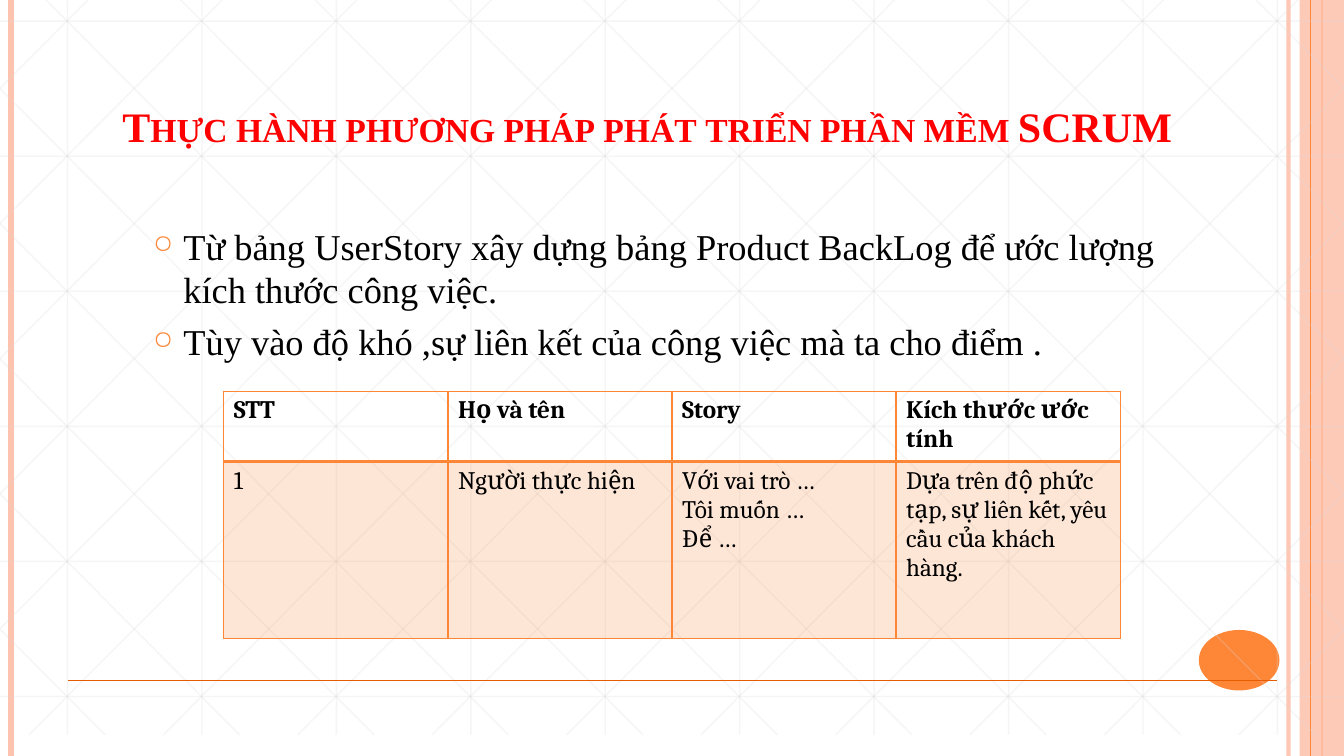
from pptx import Presentation
from pptx.dml.color import RGBColor
from pptx.enum.shapes import MSO_CONNECTOR as CONN, MSO_SHAPE as SHAPE
from pptx.enum.text import MSO_ANCHOR as ANCHOR, MSO_AUTO_SIZE as AUTO, PP_ALIGN as ALIGN
from pptx.oxml.ns import qn
from pptx.oxml.xmlchemy import OxmlElement
from pptx.util import Inches, Pt

ORANGE = RGBColor(0xFE, 0x86, 0x37)
DARK_ORANGE = RGBColor(0xE7, 0x5C, 0x01)
PEACH = RGBColor(0xFE, 0xC3, 0xAE)
GRAY = RGBColor(0xD9, 0xD9, 0xD9)
RED = RGBColor(0xFF, 0, 0)
BLACK = RGBColor(0, 0, 0)

WIDTH, HEIGHT = 13.33, 7.5
GRID_TOP, GRID_BOTTOM = -0.21, 7.29
GRID_STEP = 4 / 3
DIAGONAL_RUN = 7.46

TITLE = "Thực hành phương pháp phát triển phần mềm SCRUM"
BULLETS = [
    "Từ bảng UserStory xây dựng bảng Product BackLog để ước lượng kích thước công việc.",
    "Tùy vào độ khó ,sự liên kết của công việc mà ta cho điểm .",
]
ROWS = [
    ["STT", "Họ và tên", "Story", "Kích thước ước tính"],
    ["1", "Người thực hiện", "Với vai trò …\nTôi muốn …\nĐể …",
     "Dựa trên độ phức tạp, sự liên kết, yêu cầu của khách hàng."],
]
ROW_HEIGHTS = [0.7, 1.75]


def add_child(parent, tag, **attrs):
    child = OxmlElement(tag)
    for name, value in attrs.items():
        child.set(name, str(value))
    parent.append(child)
    return child


def set_opacity(element, percent):
    for color in element.iter(qn("a:srgbClr")):
        add_child(color, "a:alpha", val=percent * 1000)


def format_font(font, color, **values):
    font.color.rgb = color
    for name, value in values.items():
        setattr(font, name, value)


def add_line(s, x1, y1, x2, y2, color, width, opacity=100):
    line = s.shapes.add_connector(
        CONN.STRAIGHT, Inches(x1), Inches(y1), Inches(x2), Inches(y2))
    line.line.color.rgb = color
    line.line.width = Pt(width)
    sp_pr = line.element.spPr
    if opacity < 100:
        set_opacity(sp_pr, opacity)
    add_child(sp_pr, "a:effectLst")


def add_block(s, kind, left, top, width, height, color, opacity=100):
    shape = s.shapes.add_shape(
        kind, Inches(left), Inches(top), Inches(width), Inches(height))
    shape.shadow.inherit = False
    shape.fill.solid()
    shape.fill.fore_color.rgb = color
    shape.line.fill.background()
    if opacity < 100:
        set_opacity(shape.element.spPr, opacity)


def add_side_bands(s):
    def rule(x, color, width, opacity=100):
        add_line(s, x, 0, x, HEIGHT, color, width, opacity)

    rule(12.78, PEACH, 3, 93)
    rule(0.11, PEACH, 4.5)
    rule(13.11, ORANGE, 1.5)
    add_block(s, SHAPE.RECTANGLE, 12.89, 0, 0.44, HEIGHT, PEACH, 87)
    rule(13, ORANGE, 0.75)
    add_block(s, SHAPE.OVAL, 11.89, 6.25, 0.8, 0.6, ORANGE)


def add_grid(s):
    def grid_line(*ends):
        add_line(s, *ends, GRAY, 1, 25)

    for i in range(10):
        x = 0.67 + i * GRID_STEP
        grid_line(x, GRID_TOP, x, GRID_BOTTOM)
    for i in range(6):
        y = 0.21 + i * 1.34
        grid_line(0, y, WIDTH, y)

    # Diagonals cut at the slide sides, each with its mirror image
    slope = (GRID_BOTTOM - GRID_TOP) / DIAGONAL_RUN
    for i in range(-5, 10):
        start = 0.25 + i * GRID_STEP
        x1, x2 = max(start, 0), min(start + DIAGONAL_RUN, WIDTH)
        y1, y2 = (GRID_TOP + (x - start) * slope for x in (x1, x2))
        grid_line(x1, y1, x2, y2)
        grid_line(WIDTH - x1, y1, WIDTH - x2, y2)


def add_title(s):
    title = s.shapes.title
    title.left, title.top = Inches(0.67), Inches(0.3)
    title.width, title.height = Inches(11.5), Inches(1.25)
    tf = title.text_frame
    tf.text = TITLE
    tf.auto_size = AUTO.NONE
    tf.vertical_anchor = ANCHOR.BOTTOM
    p = tf.paragraphs[0]
    p.alignment = ALIGN.CENTER
    r = p.runs[0]
    format_font(r.font, RED, name="Times New Roman", size=Pt(30), bold=True)
    r.font._element.set("cap", "small")
    # Bring the title in front of the background
    title.element.getparent().append(title.element)


def add_bullets(s):
    box = s.shapes.add_textbox(Inches(1.42), Inches(2.17), Inches(10.5), Inches(2.02))
    tf = box.text_frame
    tf.word_wrap = True
    tf.text = "\n".join(BULLETS)
    for p in tf.paragraphs:
        p.space_before = Pt(6)
        format_font(p.runs[0].font, BLACK, name="Times New Roman", size=Pt(26))
        p_pr = p._p.get_or_add_pPr()
        p_pr.set("marL", str(Inches(0.3)))
        p_pr.set("indent", str(Inches(-0.3)))
        add_child(add_child(p_pr, "a:buClr"), "a:srgbClr", val=ORANGE)
        add_child(p_pr, "a:buSzPct", val=70000)
        add_child(p_pr, "a:buChar", char="○")


def set_borders(cell, widths):
    tc_pr = cell._tc.get_or_add_tcPr()
    for side, width in widths.items():
        border = add_child(tc_pr, f"a:ln{side}", w=Pt(width))
        add_child(add_child(border, "a:solidFill"), "a:srgbClr", val=ORANGE)


def add_backlog_table(s):
    table = s.shapes.add_table(
        len(ROWS), len(ROWS[0]), Inches(2.22), Inches(3.88),
        Inches(8.89), Inches(sum(ROW_HEIGHTS))).table
    for i, (texts, height) in enumerate(zip(ROWS, ROW_HEIGHTS)):
        header = i == 0
        table.rows[i].height = Inches(height)
        for j, text in enumerate(texts):
            cell = table.cell(i, j)
            cell.text = text
            for p in cell.text_frame.paragraphs:
                format_font(p.runs[0].font, BLACK, name="Cambria", size=Pt(18), bold=header)
            set_borders(cell, {"L": 1, "R": 1, "T": 1 if header else 2,
                               "B": 2 if header else 1})
            if header:
                cell.fill.background()
            else:
                cell.fill.solid()
                cell.fill.fore_color.rgb = ORANGE
                set_opacity(cell._tc.tcPr.find(qn("a:solidFill")), 20)


def main():
    prs = Presentation()
    prs.slide_width, prs.slide_height = Inches(WIDTH), Inches(HEIGHT)
    s = prs.slides.add_slide(prs.slide_layouts[5])

    # Background
    add_side_bands(s)
    add_grid(s)
    add_line(s, 0.67, 6.75, 12.67, 6.75, DARK_ORANGE, 1)

    # Content
    add_title(s)
    add_bullets(s)
    add_backlog_table(s)
    prs.save("out.pptx")


if __name__ == "__main__":
    main()
